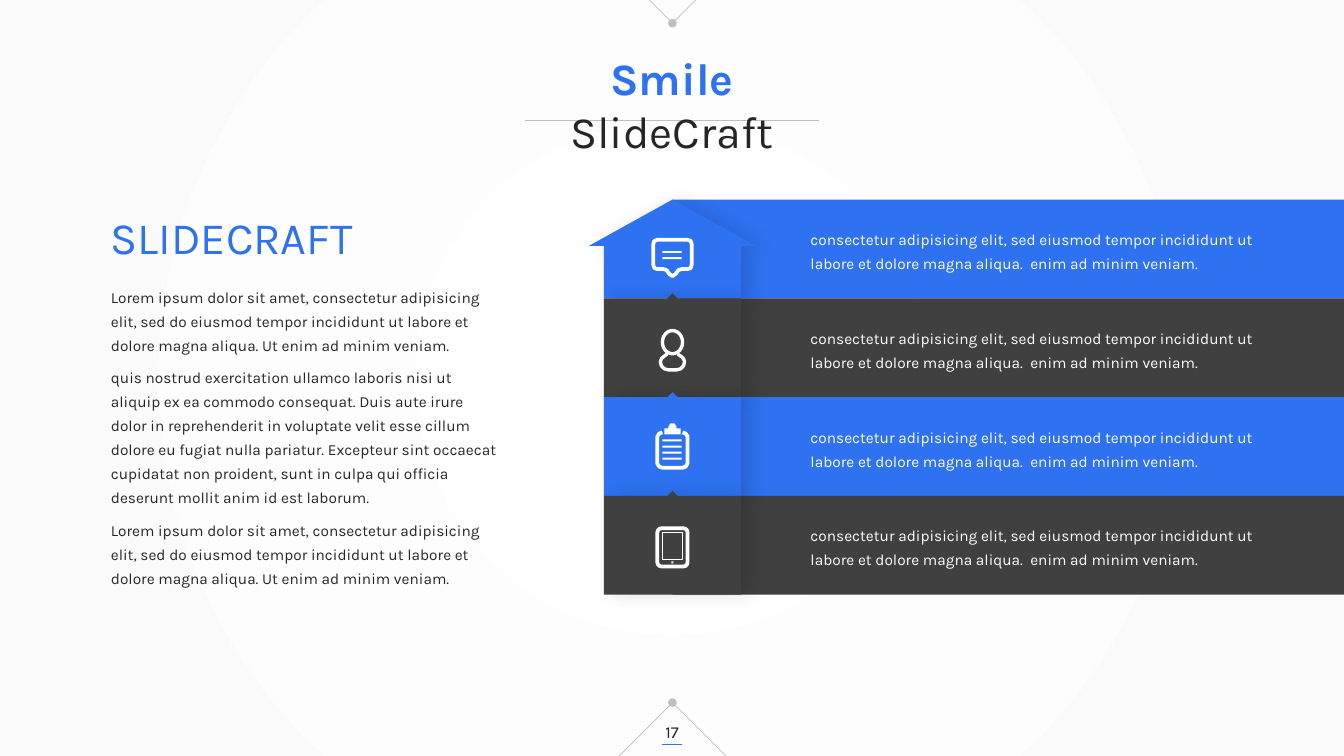
from dataclasses import dataclass

from lxml import etree
from pptx import Presentation
from pptx.dml.color import RGBColor
from pptx.enum.shapes import MSO_CONNECTOR, MSO_SHAPE
from pptx.enum.text import MSO_ANCHOR, MSO_AUTO_SIZE, PP_ALIGN
from pptx.oxml.ns import qn
from pptx.util import Inches, Pt

RECT, ROUND_RECT, OVAL = MSO_SHAPE.RECTANGLE, MSO_SHAPE.ROUNDED_RECTANGLE, MSO_SHAPE.OVAL
STRAIGHT = MSO_CONNECTOR.STRAIGHT
CENTER, LEFT = PP_ALIGN.CENTER, PP_ALIGN.LEFT
TOP, MIDDLE = MSO_ANCHOR.TOP, MSO_ANCHOR.MIDDLE


@dataclass(frozen=True)
class Theme:
    blue: RGBColor = RGBColor(0x2E, 0x72, 0xF1)
    dark: RGBColor = RGBColor(0x40, 0x40, 0x40)
    ink: RGBColor = RGBColor(0x26, 0x26, 0x26)
    rule: RGBColor = RGBColor(0xBF, 0xBF, 0xBF)
    white: RGBColor = RGBColor(0xFF, 0xFF, 0xFF)
    edge: RGBColor = RGBColor(0xFA, 0xFA, 0xFA)
    font: str = "Karla"
    heading: int = 32
    body: int = 11
    number: int = 12


THEME = Theme()
SLIDE_W, SLIDE_H = 13.33, 7.5
MID_X = 6.67
INTRO = ("Lorem ipsum dolor sit amet, consectetur adipisicing elit, sed do eiusmod tempor "
         "incididunt ut labore et dolore magna aliqua. Ut enim ad minim veniam.")
DETAIL = ("quis nostrud exercitation ullamco laboris nisi ut aliquip ex ea commodo consequat. "
          "Duis aute irure dolor in reprehenderit in voluptate velit esse cillum dolore eu fugiat "
          "nulla pariatur. Excepteur sint occaecat cupidatat non proident, sunt in culpa qui "
          "officia deserunt mollit anim id est laborum.")
ROW_TEXT = ("consectetur adipisicing elit, sed eiusmod tempor incididunt ut labore et dolore "
            "magna aliqua.  enim ad minim veniam.")


# Drawing helpers
def place(sp, x, y, w, h):
    sp.left, sp.top, sp.width, sp.height = map(Inches, (x, y, w, h))


def paint(sp, fill=None, line=None, width=0):
    sp.shadow.inherit = False
    if fill is None:
        sp.fill.background()
    else:
        sp.fill.solid()
        sp.fill.fore_color.rgb = fill
    if line is None:
        sp.line.fill.background()
    else:
        sp.line.color.rgb = line
        sp.line.width = Pt(width)
    return sp


def add_shape(slide, kind, x, y, w, h, **style):
    return paint(slide.shapes.add_shape(kind, *map(Inches, (x, y, w, h))), **style)


def add_outline(slide, x, y, points, closed=True, **style):
    pts = [(Inches(x + dx), Inches(y + dy)) for dx, dy in points]
    builder = slide.shapes.build_freeform(*pts[0], scale=1.0)
    builder.add_line_segments(pts[1:], close=closed)
    return paint(builder.convert_to_shape(), **style)


def add_line(slide, x1, y1, x2, y2, color, dot=False):
    line = slide.shapes.add_connector(STRAIGHT, *map(Inches, (x1, y1, x2, y2)))
    line.line.color.rgb = color
    line.line.width = Pt(0.5)
    if dot:
        etree.SubElement(line.line._get_or_add_ln(), qn("a:tailEnd"), type="oval")
    etree.SubElement(line._element.spPr, qn("a:effectLst"))


def format_runs(p, size, color, bold=False):
    for r in p.runs:
        r.font.name, r.font.size, r.font.bold = THEME.font, Pt(size), bold
        r.font.color.rgb = color


def add_text(slide, x, y, w, h, text, size, color, align=LEFT, anchor=TOP, spacing=1.0):
    tf = slide.shapes.add_textbox(*map(Inches, (x, y, w, h))).text_frame
    tf.word_wrap, tf.vertical_anchor = True, anchor
    tf.text = text
    p = tf.paragraphs[0]
    p.alignment, p.line_spacing = align, spacing
    format_runs(p, size, color)


def add_shadow(sp):
    effects = sp._element.spPr.find(qn("a:effectLst"))
    shadow = etree.SubElement(effects, qn("a:outerShdw"), blurRad=str(Pt(13)),
                              dist=str(Pt(6)), dir="0", algn="l", rotWithShape="0")
    color = etree.SubElement(shadow, qn("a:srgbClr"), val="000000")
    etree.SubElement(color, qn("a:alpha"), val="12000")


# Backdrop: radial tint, corner chevrons, title rule, page number
def add_backdrop(slide, number):
    fill = slide.background.fill
    fill.gradient()
    for stop, color in zip(fill.gradient_stops, (THEME.white, THEME.edge)):
        stop.color.rgb = color
    grad = next(slide.element.iter(qn("a:gradFill")))
    grad.remove(grad.find(qn("a:lin")))
    focus = etree.SubElement(grad, qn("a:path"), path="circle")
    etree.SubElement(focus, qn("a:fillToRect"), l="50000", t="50000", r="50000", b="50000")

    add_line(slide, 5.21, 1.19, 8.12, 1.19, THEME.rule)
    for edge, tip, reach in ((SLIDE_H, 6.97, 0.53), (0, 0.23, 0.23)):
        for side in (-1, 1):
            add_line(slide, MID_X + side * reach, edge, MID_X, tip, THEME.rule, dot=True)
    add_line(slide, 6.57, 7.38, 6.76, 7.38, THEME.blue)
    add_text(slide, 6.32, 7.06, 0.69, 0.4, number, THEME.number, THEME.ink, CENTER, MIDDLE)


def add_title(slide, x, y, w, h):
    sp = slide.shapes.title
    place(sp, x, y, w, h)
    slide.shapes._spTree.append(sp._element)  # in front of the title rule
    tf = sp.text_frame
    tf.word_wrap, tf.auto_size, tf.vertical_anchor = True, MSO_AUTO_SIZE.NONE, TOP
    tf.margin_left = tf.margin_right = Inches(0.4)
    p = tf.paragraphs[0]
    p.alignment = CENTER
    for text in ("Smile", " SlideCraft"):
        p.add_run().text = text
    format_runs(p, THEME.heading, THEME.ink)
    first = p.runs[0].font
    first.bold, first.color.rgb = True, THEME.blue


# Left column: heading and paragraphs
def add_story(slide, x, y, w):
    add_text(slide, x, y, w, 0.64, "SLIDECRAFT", THEME.heading, THEME.blue)
    sp = slide.placeholders[1]
    place(sp, x, y + 0.72, w, 3.16)
    tf = sp.text_frame
    tf.auto_size, tf.vertical_anchor = MSO_AUTO_SIZE.NONE, TOP
    tf.text = "\n".join((INTRO, DETAIL, INTRO))
    for i, p in enumerate(tf.paragraphs):
        pPr = p._p.get_or_add_pPr()
        pPr.set("marL", "0")
        pPr.set("indent", "0")
        etree.SubElement(pPr, qn("a:buNone"))
        p.line_spacing, p.space_before = 1.3, Pt(6 if i else 0)
        format_runs(p, THEME.body, THEME.ink)


# Icons, each placed from the centre line and top of its row
def mirror(half):
    return half + [(-dx, dy) for dx, dy in reversed(half)]


def add_bars(slide, cx, top, count):
    for i in range(count):
        add_shape(slide, RECT, cx - 0.1, top + i * 0.06, 0.19, 0.02, fill=THEME.white)


def chat_icon(slide, cx, y):
    half = [(0, 0.76), (0.03, 0.74), (0.06, 0.7), (0.09, 0.69), (0.15, 0.69), (0.18, 0.68),
            (0.19, 0.65), (0.19, 0.44), (0.18, 0.41), (0.15, 0.4)]
    add_outline(slide, cx, y, mirror(half), line=THEME.white, width=2.7)
    add_bars(slide, cx, y + 0.51, 2)


def person_icon(slide, cx, y):
    add_shape(slide, OVAL, cx - 0.1, y + 0.32, 0.2, 0.23, line=THEME.white, width=2.4)
    half = [(0.05, 0.55), (0.09, 0.58), (0.11, 0.6), (0.12, 0.63), (0.11, 0.67),
            (0.08, 0.7), (0.04, 0.71)]
    add_outline(slide, cx, y, mirror(half), closed=False, line=THEME.white, width=2.4)


def clipboard_icon(slide, cx, y):
    frame = [(0.1, 0.35), (0.13, 0.36), (0.15, 0.39), (0.15, 0.66), (0.13, 0.69), (0.1, 0.7)]
    add_outline(slide, cx, y, mirror(frame), closed=False, line=THEME.white, width=2.7)
    clip = [(0.02, 0.26), (0.04, 0.29), (0.04, 0.31), (0.08, 0.31), (0.08, 0.37)]
    add_outline(slide, cx, y, mirror(clip), fill=THEME.white)
    add_bars(slide, cx, y + 0.42, 4)


def tablet_icon(slide, cx, y):
    body = add_shape(slide, ROUND_RECT, cx - 0.15, y + 0.32, 0.3, 0.38,
                     line=THEME.white, width=2.7)
    body.adjustments[0] = 0.14
    add_shape(slide, RECT, cx - 0.1, y + 0.36, 0.2, 0.27, line=THEME.white, width=0.75)
    add_shape(slide, RECT, cx - 0.01, y + 0.65, 0.02, 0.02, fill=THEME.white)


# Right side: stacked bands with tabs, icons and text
def add_bands(slide, x, y, w, row_h):
    icons = (chat_icon, person_icon, clipboard_icon, tablet_icon)
    rows = [(y + i * row_h, (THEME.blue, THEME.dark)[i % 2], icon)
            for i, icon in enumerate(icons)]
    for top, color, _ in rows:
        add_shape(slide, RECT, x, top, w, row_h, fill=color)
    roof = mirror([(0, 0), (0.83, 0.46), (0.68, 0.46), (0.68, row_h)])
    notch = mirror([(0, -0.05), (0.05, 0), (0.68, 0), (0.68, row_h)])
    for top, color, _ in rows:
        add_shadow(add_outline(slide, x, top, roof if top == y else notch, fill=color))
    for top, _, icon in rows:
        icon(slide, x, top)
        add_text(slide, x + 1.27, top + 0.2, 4.62, 0.56, ROW_TEXT, THEME.body, THEME.white,
                 spacing=1.3)


def main():
    prs = Presentation()
    prs.slide_width, prs.slide_height = Inches(SLIDE_W), Inches(SLIDE_H)
    slide = prs.slides.add_slide(prs.slide_layouts[1])
    add_backdrop(slide, "17")
    add_bands(slide, MID_X, 1.98, SLIDE_W - MID_X, 0.98)
    add_title(slide, 4.81, 0.45, 3.71, 0.64)
    add_story(slide, 1, 2.03, 4.05)
    prs.save("out.pptx")


if __name__ == "__main__":
    main()
